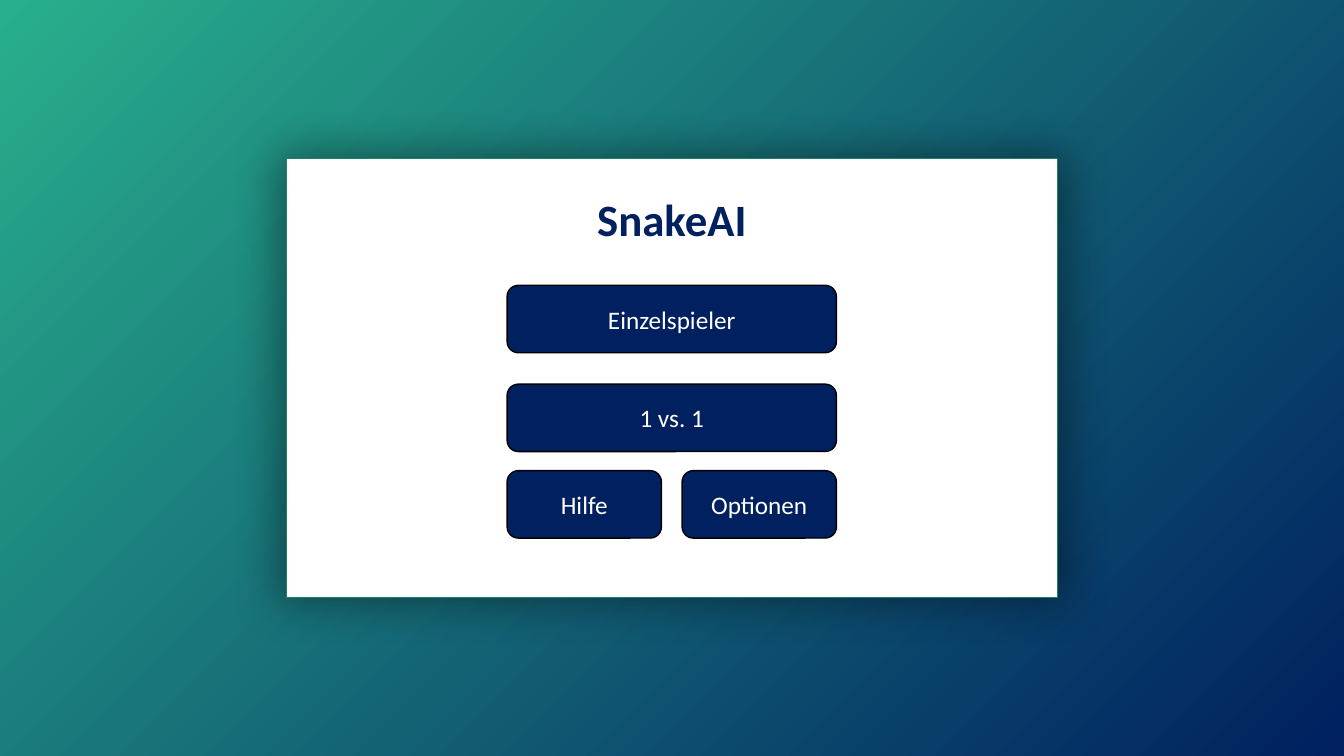
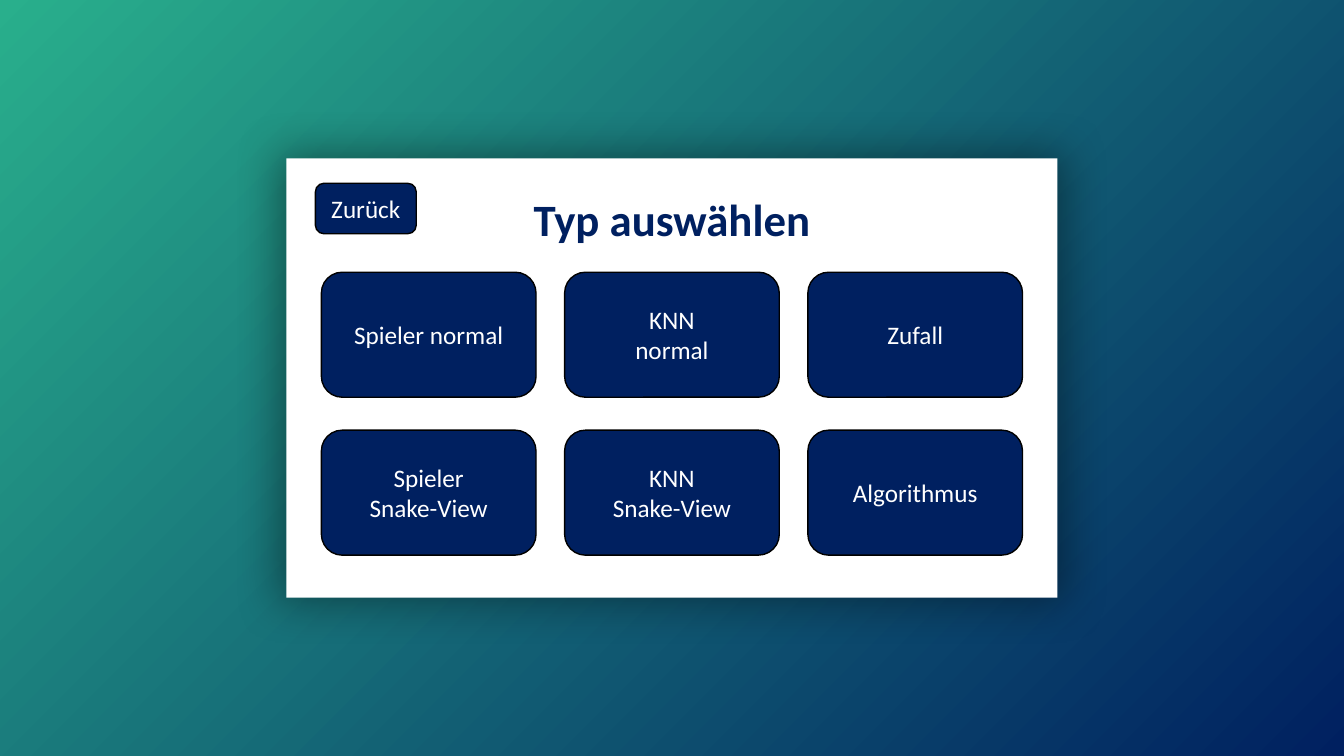
from dataclasses import dataclass

from lxml.etree import SubElement
from pptx import Presentation
from pptx.dml.color import RGBColor
from pptx.enum.shapes import MSO_SHAPE
from pptx.enum.text import MSO_ANCHOR, PP_ALIGN
from pptx.oxml.ns import qn
from pptx.util import Cm, Pt


@dataclass(frozen=True)
class Theme:
    navy: RGBColor = RGBColor.from_string("002060")
    green: RGBColor = RGBColor.from_string("29AF8C")
    edge: RGBColor = RGBColor.from_string("1E8168")
    white: RGBColor = RGBColor.from_string("FFFFFF")
    black: RGBColor = RGBColor.from_string("000000")
    font: str = "Calibri"
    title: Pt = Pt(32)
    label: Pt = Pt(18)


theme = Theme()
WIDE, HIGH = 33.87, 19.05


def add_box(slide, kind, text, rect, fill, line, size, color, bold=False):
    box = slide.shapes.add_shape(kind, *[Cm(n) for n in rect])
    box.shadow.inherit = False
    box.fill.solid()
    box.fill.fore_color.rgb = fill
    if line is None:
        box.line.fill.background()
    else:
        box.line.color.rgb = line
        box.line.width = Pt(1)
    frame = box.text_frame
    frame.word_wrap = True
    frame.vertical_anchor = MSO_ANCHOR.MIDDLE
    frame.text = text
    for para in frame.paragraphs:
        para.alignment = PP_ALIGN.CENTER
        for run in para.runs:
            run.font.name = theme.font
            run.font.size = size
            run.font.bold = bold
            run.font.color.rgb = color
    return box


def add_card(slide, title, line):
    wide, high = 19.43, 11.07
    rect = ((WIDE - wide) / 2, (HIGH - high) / 2, wide, high)
    card = add_box(slide, MSO_SHAPE.RECTANGLE, title, rect, theme.white,
                   line, theme.title, theme.navy, True)
    card.text_frame.vertical_anchor = MSO_ANCHOR.TOP
    card.text_frame.margin_top = Cm(0.83)
    # Soft glow-like shadow around the card
    effects = card._element.spPr.find(qn("a:effectLst"))
    shade = SubElement(effects, qn("a:outerShdw"), blurRad=str(Pt(33)),
                       sx="102000", sy="102000", algn="ctr", rotWithShape="0")
    tint = SubElement(shade, qn("a:srgbClr"), val=str(theme.black))
    SubElement(tint, qn("a:alpha"), val="40000")


deck = Presentation()
deck.slide_width, deck.slide_height = Cm(WIDE), Cm(HIGH)
blank = deck.slide_layouts[6]

# Shared background: diagonal gradient on the master
back = deck.slide_master.background.fill
back.gradient()
back.gradient_angle = 315
for stop, color in zip(back.gradient_stops, (theme.green, theme.navy)):
    stop.color.rgb = color
back.gradient_stops[0].position = 0
back.gradient_stops[1].position = 1

# Main menu buttons
left, full, half, tall = 12.78, 8.3, 3.89, 1.7
menu = [
    ("Einzelspieler", (left, 7.19, full, tall)),
    ("1 vs. 1", (left, 9.68, full, tall)),
    ("Hilfe", (left, 11.86, half, tall)),
    ("Optionen", (left + full - half, 11.86, half, tall)),
]

# Type selection buttons: back button and a grid of three by two
types = [("Zurück", (7.95, 4.62, 2.54, 1.27))]
grid = [
    ["Spieler normal", "KNN\nnormal", "Zufall"],
    ["Spieler\nSnake-View", "KNN\nSnake-View", "Algorithmus"],
]
for row, names in enumerate(grid):
    for col, name in enumerate(names):
        types.append((name, (8.1 + col * 6.13, 6.86 + row * 3.98, 5.41, 3.15)))

# Slides
screens = [
    ("SnakeAI", theme.edge, menu),
    ("Typ auswählen", None, types),
]
for title, line, buttons in screens:
    slide = deck.slides.add_slide(blank)
    add_card(slide, title, line)
    for text, rect in buttons:
        add_box(slide, MSO_SHAPE.ROUNDED_RECTANGLE, text, rect, theme.navy,
                theme.black, theme.label, theme.white)

deck.save("out.pptx")
